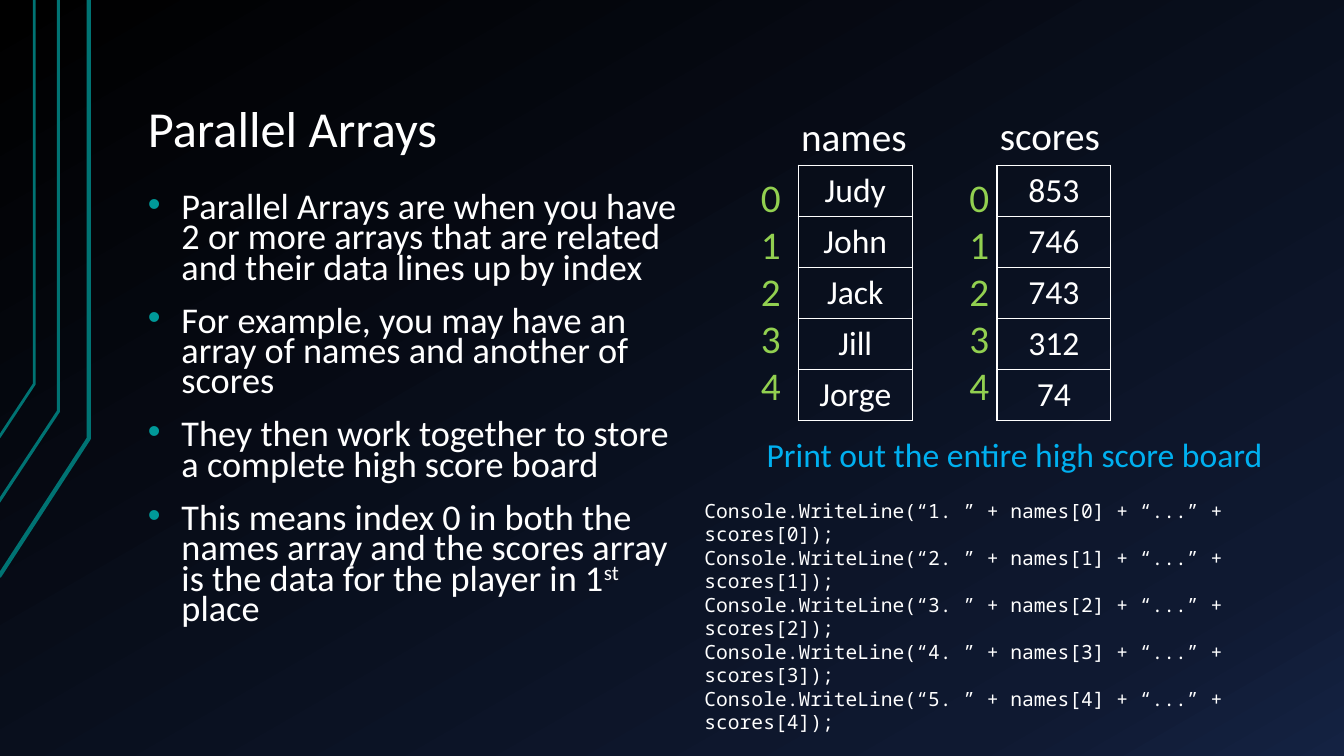
from copy import deepcopy

from lxml import etree
from pptx import Presentation
from pptx import util as u
from pptx.dml import color
from pptx.enum import text
from pptx.oxml import ns

COLUMNS, ROWS = 40, 22.5
WHITE, GREEN, BLUE, TEAL, BULLET = "FFFFFF", "92D050", "00B0F0", "007373", "009999"
SANS, MONO = "Calibri", "Noto Sans Mono"
CENTER, LEFT = text.PP_ALIGN.CENTER, text.PP_ALIGN.LEFT


def paint(value):
    return color.RGBColor.from_string(value)


def add_node(parent, tag, **values):
    node = etree.SubElement(parent, ns.qn(tag))
    for name, value in values.items():
        node.set(name, str(value))
    return node


def apply(target, values):
    for name, value in values.items():
        setattr(target, name, value)


class SlideBuilder:
    def __init__(self, deck):
        self.page = deck.slides.add_slide(deck.slide_layouts[5])
        self.cell = deck.slide_width / COLUMNS

    def place(self, *lengths):
        return [u.Emu(round(length * self.cell)) for length in lengths]

    def background(self, stops, angle):
        fill = self.page.background.fill
        fill.gradient()
        fill.gradient_angle = angle
        stop_list = next(self.page.element.iter(ns.qn("a:gsLst")))
        stop_list.insert(1, deepcopy(stop_list[0]))
        for stop, (position, shade) in zip(fill.gradient_stops, stops):
            stop.position = position
            stop.color.rgb = paint(shade)

    def outline(self, points, width):
        corners = [self.place(*point) for point in points]
        builder = self.page.shapes.build_freeform(*corners[0], scale=1.0)
        builder.add_line_segments(corners[1:], close=False)
        shape = builder.convert_to_shape()
        shape.shadow.inherit = False
        shape.fill.background()
        shape.line.color.rgb = paint(TEAL)
        shape.line.width = u.Pt(width)

    def add_words(self, para, words, size, shade=WHITE, font=SANS, raised=None, **layout):
        apply(para, layout)
        for word in words if isinstance(words, list) else [words]:
            span = para.add_run()
            span.text = word
            apply(span.font, {"size": u.Pt(size), "name": font})
            span.font.color.rgb = paint(shade)
            if word == raised:
                span.font._element.set("baseline", "30000")

    def title(self, area, words):
        box = self.page.shapes.title
        apply(box, dict(zip(("left", "top", "width", "height"), self.place(*area))))
        self.frame(box, (0.4, 0.2), vertical_anchor=text.MSO_ANCHOR.BOTTOM)
        self.add_words(box.text_frame.paragraphs[0], words, 36, alignment=LEFT, line_spacing=0.9)

    def frame(self, box, inset, **values):
        side, edge = self.place(*inset)
        apply(box.text_frame, {
            "margin_left": side, "margin_right": side,
            "margin_top": edge, "margin_bottom": edge,
            "word_wrap": True, "auto_size": text.MSO_AUTO_SIZE.NONE, **values,
        })

    def text_box(self, area, lines, inset=(0.3, 0.15), bullets=False, wrap=True):
        box = self.page.shapes.add_textbox(*self.place(*area))
        self.frame(box, inset, word_wrap=wrap)
        for number, line in enumerate(lines):
            frame = box.text_frame
            para = frame.add_paragraph() if number else frame.paragraphs[0]
            if bullets:
                self.bullet(para)
            self.add_words(para, **line)

    def bullet(self, para):
        indent = int(self.place(1)[0])
        settings = para._p.get_or_add_pPr()
        settings.set("marL", str(indent))
        settings.set("indent", str(-indent))
        add_node(add_node(settings, "a:buClr"), "a:srgbClr", val=BULLET)
        add_node(settings, "a:buFont", typeface="Arial")
        add_node(settings, "a:buChar", char="•")

    def table(self, area, values):
        table = self.page.shapes.add_table(len(values), 1, *self.place(*area)).table
        apply(table, {"first_row": False, "horz_banding": False})
        for row, value in enumerate(values):
            cell = table.cell(row, 0)
            self.add_words(cell.text_frame.paragraphs[0], value, 24, alignment=CENTER)
            settings = cell._tc.get_or_add_tcPr()
            for side in ("a:lnL", "a:lnR", "a:lnT", "a:lnB"):
                edge = add_node(settings, side, w=int(u.Pt(1)))
                add_node(add_node(edge, "a:solidFill"), "a:srgbClr", val=WHITE)
            cell.fill.background()


def main():
    deck = Presentation()
    deck.slide_width, deck.slide_height = u.Inches(COLUMNS / 3), u.Inches(ROWS / 3)
    slide = SlideBuilder(deck)
    slide.background([(0, "000000"), (0.85, "0F1931"), (1, "142242")], 300)

    for start, start_row, bend, bend_row, width in (
        (-0.03, 17.16, 2.64, 13.05, 3),
        (-0.06, 14.97, 1.74, 12.24, 2.25),
        (-0.03, 13.02, 1.02, 11.43, 2),
    ):
        slide.outline([(start, start_row), (bend, bend_row), (bend, 0)], width)

    slide.title((4, 0.9, 34, 4.02), "Parallel Arrays")
    points = [
        "Parallel Arrays are when you have 2 or more arrays that are related "
        "and their data lines up by index",
        "For example, you may have an array of names and another of scores",
        "They then work together to store a complete high score board",
        ["This means index 0 in both the names array and the scores array "
         "is the data for the player in 1", "st", " place"],
    ]
    slide.text_box(
        (4, 5.6, 16.65, 14.64),
        [{"words": point, "size": 25.9, "raised": "st", "line_spacing": 0.7,
          "space_before": u.Pt(16 if number else 0)} for number, point in enumerate(points)],
        inset=(0.4, 0.2), bullets=True,
    )

    arrays = (
        ("names", ["Judy", "John", "Jack", "Jill", "Jorge"], 23.76, 3.21, 22.35),
        ("scores", ["853", "746", "743", "312", "74"], 29.67, 3.18, 28.56),
    )
    for name, values, left, label_top, index_left in arrays:
        slide.table((left, 4.92, 3.39, 7.5), values)
        slide.text_box((left - 0.21, label_top, 3.7, 1.71),
                       [{"words": name, "size": 28}], wrap=False)
        slide.text_box((index_left, 5.01, 1.2, 7.38),
                       [{"words": str(index), "size": 28, "shade": GREEN}
                        for index in range(len(values))], wrap=False)

    heading = {"words": "Print out the entire high score board", "size": 24,
               "shade": BLUE, "alignment": CENTER}
    code = [
        {"words": f"Console.WriteLine(“{index + 1}. ” + names[{index}] + “...” + scores[{index}]);",
         "size": 14, "font": MONO, "space_before": u.Pt(0 if index else 17)}
        for index in range(5)
    ]
    slide.text_box((20.67, 12.78, 19.05, 6.45), [heading, *code])
    deck.save("out.pptx")


if __name__ == "__main__":
    main()
